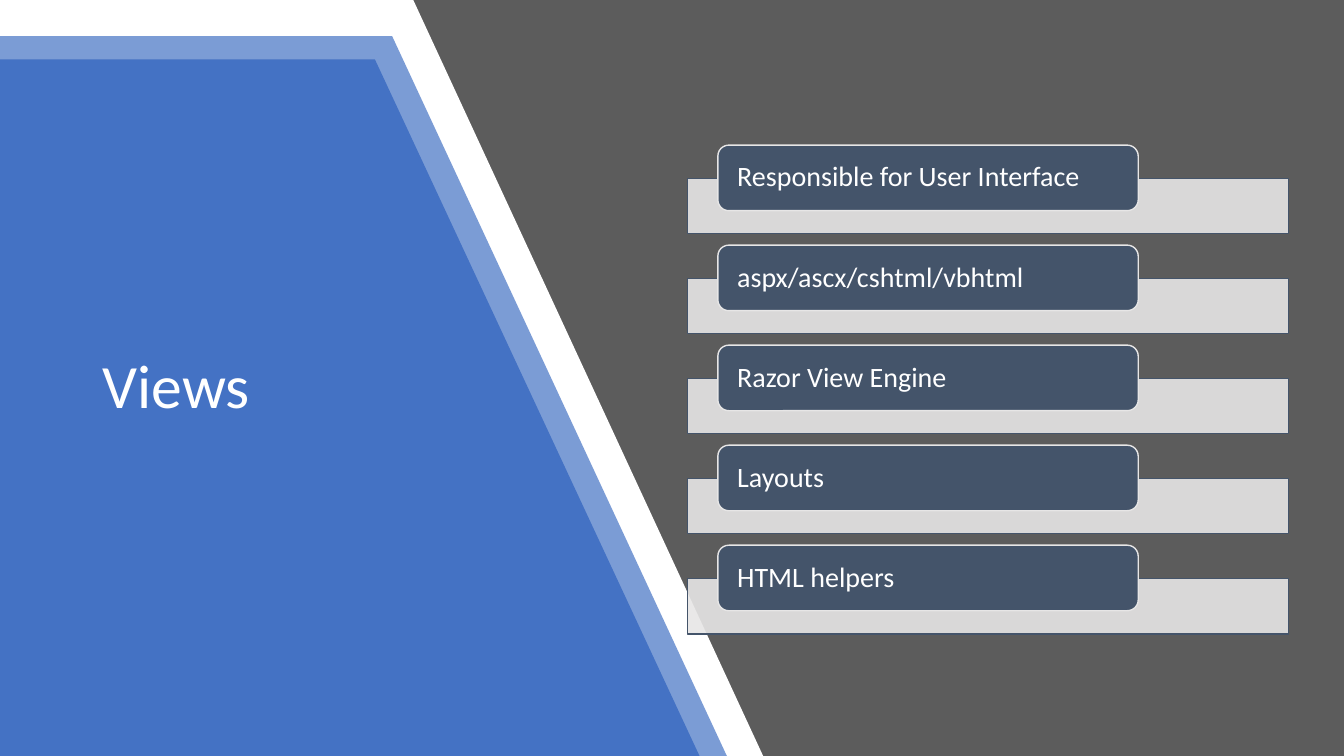
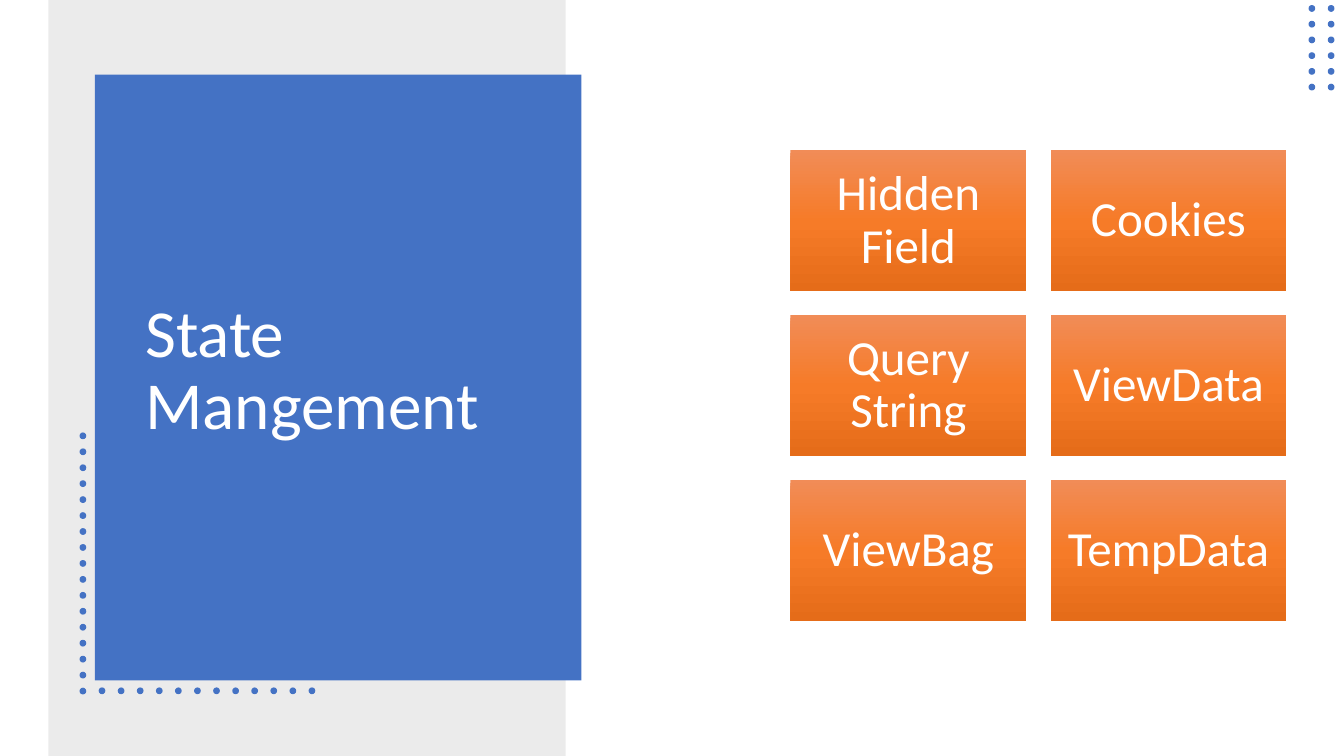
from dataclasses import dataclass
from itertools import product

from lxml import etree
from pptx import Presentation
from pptx import util as u
from pptx.dml import color
from pptx.enum import shapes, text
from pptx.oxml import ns

COLORS = {
    "white": "FFFFFF",
    "charcoal": "404040",
    "blue": "4472C4",
    "slate": "44546A",
    "light": "E7E6E6",
    "band": "D9D9D9",
}
TILE_STOPS = {0: "F18C57", 50: "F67B28", 100: "E56C19"}
FONT = "Calibri"
WIDTH, HEIGHT = u.Inches(13.33), u.Inches(7.5)
TITLE_ONLY = 5


def across(percent: float) -> int:
    return round(WIDTH * percent / 100)


def down(percent: float) -> int:
    return round(HEIGHT * percent / 100)


@dataclass(frozen=True)
class Box:
    """Position and size in percent of the slide."""

    left: float
    top: float
    width: float
    height: float

    def emu(self) -> tuple:
        return across(self.left), down(self.top), across(self.width), down(self.height)


@dataclass(frozen=True)
class Grid:
    first: Box
    columns: int
    rows: int
    column_step: float = 0
    row_step: float = 0

    def cells(self) -> list:
        return [
            Box(self.first.left + column * self.column_step,
                self.first.top + row * self.row_step,
                self.first.width, self.first.height)
            for row, column in product(range(self.rows), range(self.columns))
        ]


@dataclass(frozen=True)
class SlantedPanel:
    top: float
    right_at_top: float
    right_at_bottom: float
    fill: str
    opacity: int = 100


PANELS = [
    SlantedPanel(0, 30.75, 56.78, "white"),
    SlantedPanel(4.8, 29.18, 54.08, "blue", 70),
    SlantedPanel(7.87, 27.9, 52.05, "blue"),
]
VIEW_TOPICS = ["Responsible for User Interface", "aspx/ascx/cshtml/vbhtml",
               "Razor View Engine", "Layouts", "HTML helpers"]
TOPIC_STEP = 13.23
TOPIC_BARS = Grid(Box(51.16, 23.6, 44.7, 7.33), 1, len(VIEW_TOPICS), 0, TOPIC_STEP)
TOPIC_LABELS = Grid(Box(53.41, 19.2, 31.28, 8.67), 1, len(VIEW_TOPICS), 0, TOPIC_STEP)

STATE_OPTIONS = ["Hidden Field", "Cookies", "Query String",
                 "ViewData", "ViewBag", "TempData"]
OPTION_TILES = Grid(Box(58.82, 19.87, 17.55, 18.67), 2, 3, 19.35, 21.8)
DOT_WIDTH, DOT_HEIGHT = 0.5, 0.9
DOT_GRIDS = [
    Grid(Box(97.36, 0.67, DOT_WIDTH, DOT_HEIGHT), 2, 6, 1.43, 2.08),
    Grid(Box(5.92, 57.2, DOT_WIDTH, DOT_HEIGHT), 1, 17, 0, 2.11),
    Grid(Box(7.34, 90.93, DOT_WIDTH, DOT_HEIGHT), 12, 1, 1.42, 0),
]


def paint(shape, fill: str, opacity: int = 100, outline: str = "") -> None:
    shape.shadow.inherit = False
    shape.fill.solid()
    shape.fill.fore_color.rgb = color.RGBColor.from_string(COLORS[fill])
    if opacity < 100:
        tone = shape.element.spPr.find(ns.qn("a:solidFill"))[0]
        etree.SubElement(tone, ns.qn("a:alpha"), val=str(opacity * 1000))
    if outline:
        shape.line.color.rgb = color.RGBColor.from_string(COLORS[outline])
        shape.line.width = u.Pt(1)
    else:
        shape.line.fill.background()


def paint_gradient(shape, stops: dict) -> None:
    shape.shadow.inherit = False
    shape.line.fill.background()
    shape.fill.gradient()
    shape.fill.gradient_angle = 270
    stop_list = shape.element.spPr.find(ns.qn("a:gradFill")).find(ns.qn("a:gsLst"))
    for old_stop in list(stop_list):
        stop_list.remove(old_stop)
    for position, tone in stops.items():
        stop = etree.SubElement(stop_list, ns.qn("a:gs"), pos=str(position * 1000))
        etree.SubElement(stop, ns.qn("a:srgbClr"), val=tone)


def add_block(slide, box: Box, kind=shapes.MSO_SHAPE.RECTANGLE):
    return slide.shapes.add_shape(kind, *box.emu())


def write(shape, words: str, size: float, align, anchor) -> None:
    frame = shape.text_frame
    frame.text = words
    frame.word_wrap = True
    frame.auto_size = text.MSO_AUTO_SIZE.NONE
    frame.vertical_anchor = anchor
    paragraph = frame.paragraphs[0]
    paragraph.alignment = align
    paragraph.line_spacing = 0.9
    paragraph.space_before = u.Pt(0)
    font = paragraph.runs[0].font
    font.name = FONT
    font.size = u.Pt(size)
    font.color.rgb = color.RGBColor.from_string(COLORS["white"])


def set_insets(shape, sides: float, ends: float) -> None:
    frame = shape.text_frame
    frame.margin_left = frame.margin_right = u.Inches(sides)
    frame.margin_top = frame.margin_bottom = u.Inches(ends)


def place_title(slide, words: str, box: Box, size: float, anchor) -> None:
    title = slide.shapes.title
    title.left, title.top, title.width, title.height = box.emu()
    write(title, words, size, text.PP_ALIGN.LEFT, anchor)
    slide.shapes.element.append(title.element)


def draw_panel(slide, panel: SlantedPanel) -> None:
    outline = slide.shapes.build_freeform(0, down(panel.top))
    outline.add_line_segments([
        (across(panel.right_at_top), down(panel.top)),
        (across(panel.right_at_bottom), HEIGHT),
        (0, HEIGHT),
    ], close=True)
    paint(outline.convert_to_shape(), panel.fill, panel.opacity)


def build_views(slide) -> None:
    paint(add_block(slide, Box(0, 0, 100, 100)), "charcoal", 85)
    for panel in PANELS:
        draw_panel(slide, panel)
    place_title(slide, "Views", Box(6.9, 31.2, 28, 40.4), 44, text.MSO_ANCHOR.MIDDLE)
    for topic, bar_box, label_box in zip(VIEW_TOPICS, TOPIC_BARS.cells(), TOPIC_LABELS.cells()):
        paint(add_block(slide, bar_box), "light", 90, "slate")
        label = add_block(slide, label_box, shapes.MSO_SHAPE.ROUNDED_RECTANGLE)
        paint(label, "slate", outline="light")
        set_insets(label, 0.16, 0)
        write(label, topic, 20, text.PP_ALIGN.LEFT, text.MSO_ANCHOR.MIDDLE)


def build_state(slide) -> None:
    paint(add_block(slide, Box(3.6, 0, 38.48, 100)), "band", 50)
    paint(add_block(slide, Box(7.05, 9.87, 36.22, 80.13)), "blue")
    for grid in DOT_GRIDS:
        for dot_box in grid.cells():
            paint(add_block(slide, dot_box, shapes.MSO_SHAPE.OVAL), "blue")
    place_title(slide, "State Mangement", Box(10.05, 14.53, 29.62, 44.93), 48,
                text.MSO_ANCHOR.BOTTOM)
    for option, tile_box in zip(STATE_OPTIONS, OPTION_TILES.cells()):
        tile = add_block(slide, tile_box)
        paint_gradient(tile, TILE_STOPS)
        set_insets(tile, 0.15, 0.15)
        write(tile, option, 35, text.PP_ALIGN.CENTER, text.MSO_ANCHOR.MIDDLE)


def main() -> None:
    deck = Presentation()
    deck.slide_width, deck.slide_height = WIDTH, HEIGHT
    for build in (build_views, build_state):
        build(deck.slides.add_slide(deck.slide_layouts[TITLE_ONLY]))
    deck.save("out.pptx")


if __name__ == "__main__":
    main()
